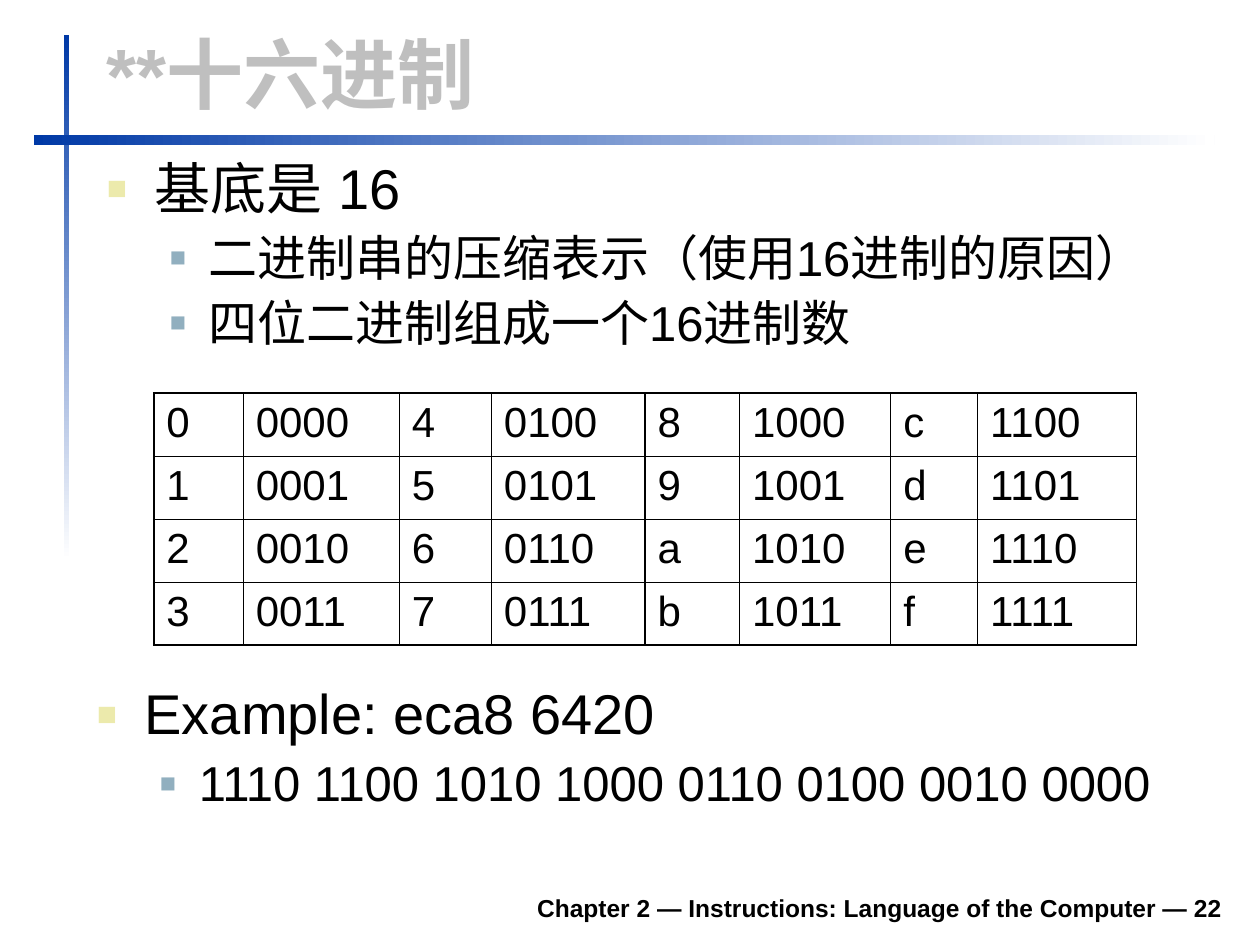
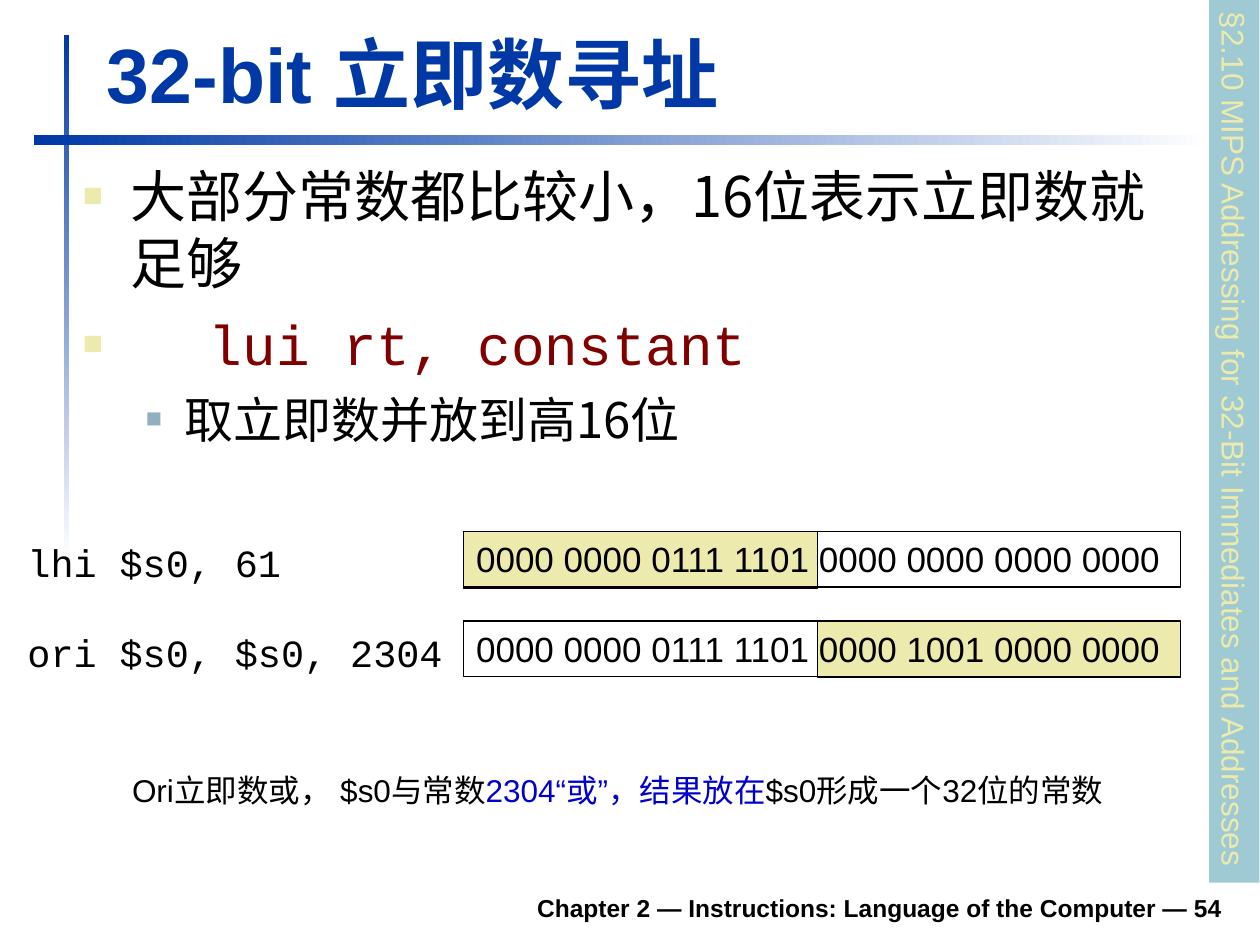
from lxml import etree
from pptx import Presentation
from pptx.dml.color import RGBColor
from pptx.enum.shapes import MSO_SHAPE
from pptx.enum.text import MSO_ANCHOR, PP_ALIGN
from pptx.oxml.ns import qn
from pptx.util import Inches, Pt

RECT = MSO_SHAPE.RECTANGLE
TOP, BOTTOM = MSO_ANCHOR.TOP, MSO_ANCHOR.BOTTOM
LEFT, RIGHT = PP_ALIGN.LEFT, PP_ALIGN.RIGHT

# Shared look
COLORS = {"blue": "0039A6", "white": "FFFFFF", "black": "000000", "grey": "BFBFBF",
          "sand": "ECEAAC", "steel": "91AFBF", "teal": "9FCAD3",
          "maroon": "800000", "link": "0000CC"}
ARIAL, MONO, CJK = "Arial", "Courier New", "Noto Sans CJK SC"
FOOTER = "Chapter 2 — Instructions: Language of the Computer — {}"
# level: indent, hanging, size, space before, bullet colour, bullet size %
LEVELS = [(0.38, 0.38, 32, 8, "sand", 60), (0.81, 0.31, 28, 7, "steel", 55)]

# Content: bullets are (level, [(text, font, colour), ...])
HEX_BULLETS = [
    (0, [("基底是 16", ARIAL, "black")]),
    (1, [("二进制串的压缩表示（使用16进制的原因）", ARIAL, "black")]),
    (1, [("四位二进制组成一个16进制数", ARIAL, "black")]),
]
HEX_EXAMPLE = [
    (0, [("Example: eca8 6420", ARIAL, "black")]),
    (1, [("1110 1100 1010 1000 0110 0100 0010 0000", ARIAL, "black")]),
]
HEX_DIGITS = "0123456789abcdef"
HEX_ROWS = 4
HEX_COL_WIDTHS = [0.71, 1.24, 0.73, 1.22, 0.75, 1.2, 0.69, 1.26]

IMMEDIATE_BULLETS = [
    (0, [("大部分常数都比较小，16位表示立即数就足够", CJK, "black")]),
    (0, [("\t", ARIAL, "black"), ("lui rt, constant", MONO, "maroon")]),
    (1, [("取立即数并放到高16位", CJK, "black")]),
]
# code, register bits, left and width of the highlighted half
REGISTER_STEPS = [
    ("lhi $s0, 61", "0000 0000 0111 1101 0000 0000 0000 0000", 3.68, 2.81),
    ("ori $s0, $s0, 2304", "0000 0000 0111 1101 0000 1001 0000 0000", 6.49, 2.88),
]
ORI_NOTE = [("Ori立即数或， $s0与常数", ARIAL, "black"),
            ("2304“或”，结果放在", ARIAL, "link"),
            ("$s0形成一个32位的常数", ARIAL, "black")]
SECTION = "§2.10 MIPS Addressing for 32-Bit Immediates and Addresses"


def rgb(name):
    return RGBColor.from_string(COLORS[name])


def add_run(p, text, size, font=ARIAL, color="black", bold=False):
    r = p.add_run()
    r.text = text
    r.font.size, r.font.bold, r.font.name = Pt(size), bold, font
    r.font.color.rgb = rgb(color)
    etree.SubElement(r.font._element, qn("a:ea"), typeface=font)


def setup_frame(tf, anchor=TOP, wrap=True):
    tf.word_wrap, tf.vertical_anchor = wrap, anchor
    return tf.paragraphs[0]


def add_text(slide, box, runs, size, anchor=TOP, align=LEFT, wrap=True, bold=False):
    sp = slide.shapes.add_textbox(*map(Inches, box))
    p = setup_frame(sp.text_frame, anchor, wrap)
    p.alignment = align
    for text, font, color in runs:
        add_run(p, text, size, font, color, bold)


def add_rect(slide, box, fill=None, line=None):
    sp = slide.shapes.add_shape(RECT, *map(Inches, box))
    sp.shadow.inherit = False
    if fill:
        sp.fill.solid()
        sp.fill.fore_color.rgb = rgb(fill)
    else:
        sp.fill.background()
    if line:
        sp.line.color.rgb, sp.line.width = rgb(line), Pt(0.75)
    else:
        sp.line.fill.background()
    return sp


def label_rect(sp, text, size, color):
    p = setup_frame(sp.text_frame, wrap=False)
    p.alignment = LEFT
    add_run(p, text, size, color=color)


def add_fading_bar(slide, box, angle):
    fill = add_rect(slide, box).fill
    fill.gradient()
    fill.gradient_angle = angle
    for stop, color in zip(fill.gradient_stops, ("blue", "white")):
        stop.color.rgb = rgb(color)


def add_bullets(slide, box, bullets, spacing=1.0):
    tf = slide.shapes.add_textbox(*map(Inches, box)).text_frame
    setup_frame(tf)
    for i, (level, runs) in enumerate(bullets):
        indent, hanging, size, before, color, percent = LEVELS[level]
        p = tf.paragraphs[0] if i == 0 else tf.add_paragraph()
        p.level, p.line_spacing = level, spacing
        p.space_before = Pt(before if i else 0)
        pPr = p._p.get_or_add_pPr()
        pPr.set("marL", str(Inches(indent)))
        pPr.set("indent", str(-Inches(hanging)))
        clr = etree.SubElement(pPr, qn("a:buClr"))
        etree.SubElement(clr, qn("a:srgbClr"), val=COLORS[color])
        etree.SubElement(pPr, qn("a:buSzPct"), val=str(percent * 1000))
        etree.SubElement(pPr, qn("a:buFont"), typeface=ARIAL)
        etree.SubElement(pPr, qn("a:buChar"), char="■")
        tabs = etree.SubElement(pPr, qn("a:tabLst"))
        etree.SubElement(tabs, qn("a:tab"), pos=str(Inches(1)), algn="l")
        for text, font, run_color in runs:
            add_run(p, text, size, font, run_color)


def add_base_slide(prs, title, title_color, number):
    slide = prs.slides.add_slide(prs.slide_layouts[6])
    add_fading_bar(slide, (0.51, 0.28, 0.04, 4.17), 270)
    add_fading_bar(slide, (0.27, 1.07, 9.37, 0.08), 0)
    add_text(slide, (1.85, 6.98, 7.95, 0.39), [(FOOTER.format(number), ARIAL, "black")],
             14, BOTTOM, RIGHT, bold=True)
    add_text(slide, (0.75, 0.16, 9.03, 0.83), [(title, ARIAL, title_color)],
             44, BOTTOM, bold=True)
    return slide


def set_borders(cell, widths):
    tcPr = cell._tc.get_or_add_tcPr()
    for side, width in zip("LRTB", widths):
        ln = etree.SubElement(tcPr, qn(f"a:ln{side}"), w=str(Pt(width)))
        fill = etree.SubElement(ln, qn("a:solidFill"))
        etree.SubElement(fill, qn("a:srgbClr"), val=COLORS["black"])


def add_hex_table(slide):
    cols = len(HEX_COL_WIDTHS)
    table = slide.shapes.add_table(HEX_ROWS, cols, Inches(1.22), Inches(3.12),
                                   Inches(sum(HEX_COL_WIDTHS)), Inches(2)).table
    table.first_row = table.horz_banding = False
    for col, width in zip(table.columns, HEX_COL_WIDTHS):
        col.width = Inches(width)
    outer, inner, pair = 1.08, 0.45, 0.75
    verticals = [outer] + [inner, pair] * (cols // 2 - 1) + [inner, outer]
    horizontals = [outer] + [inner] * (HEX_ROWS - 1) + [outer]
    for row in range(HEX_ROWS):
        for col in range(cols):
            cell = table.cell(row, col)
            value = col // 2 * HEX_ROWS + row
            text = f"{value:04b}" if col % 2 else HEX_DIGITS[value]
            add_run(cell.text_frame.paragraphs[0], text, 24)
            set_borders(cell, verticals[col:col + 2] + horizontals[row:row + 2])
            cell.fill.background()


def build_hex_slide(prs):
    slide = add_base_slide(prs, "**十六进制", "grey", 22)
    add_bullets(slide, (0.75, 1.23, 9.04, 1.73), HEX_BULLETS, 0.9)
    add_hex_table(slide)
    add_bullets(slide, (0.67, 5.4, 9.04, 1.26), HEX_EXAMPLE, 0.9)


def build_immediate_slide(prs):
    slide = add_base_slide(prs, "32-bit 立即数寻址", "blue", 54)
    add_bullets(slide, (0.56, 1.23, 9.05, 3.78), IMMEDIATE_BULLETS)
    # Register contents after each instruction
    for i, (code, bits, left, width) in enumerate(REGISTER_STEPS):
        y = 4.22 + i * 0.71
        add_rect(slide, (left, y, width, 0.45), "sand", "black")
        label_rect(add_rect(slide, (3.68, y, 5.69, 0.44), line="black"), bits, 20, "black")
        add_text(slide, (0.12, y + 0.01, 3.5, 0.47), [(code, MONO, "black")], 22, wrap=False)
    # Section strip down the right edge
    strip = add_rect(slide, (6.29, 3.3, 7.01, 0.4), "teal")
    strip.rotation = 90
    label_rect(strip, SECTION, 18, "sand")
    add_text(slide, (0.95, 6.07, 8.03, 0.7), ORI_NOTE, 18)


def main():
    prs = Presentation()
    prs.slide_width, prs.slide_height = Inches(10), Inches(7.5)
    build_hex_slide(prs)
    build_immediate_slide(prs)
    prs.save("out.pptx")


if __name__ == "__main__":
    main()
